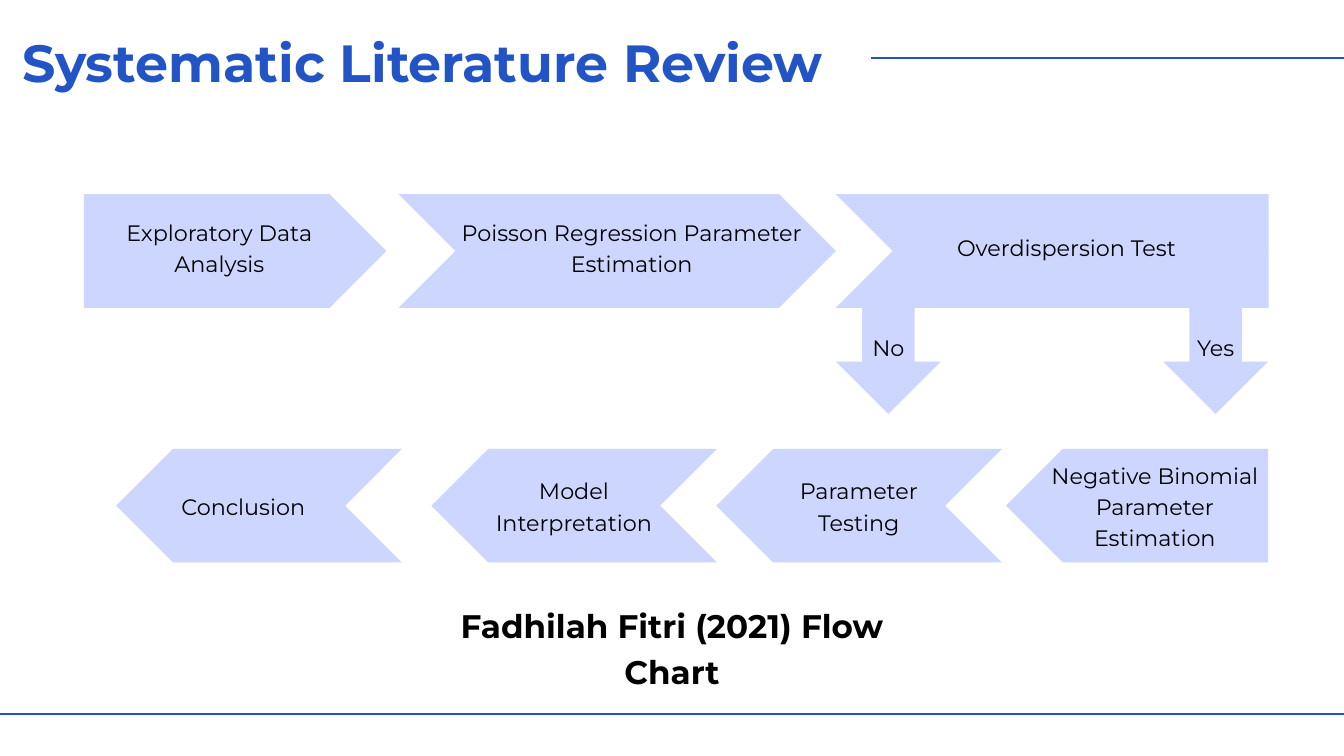
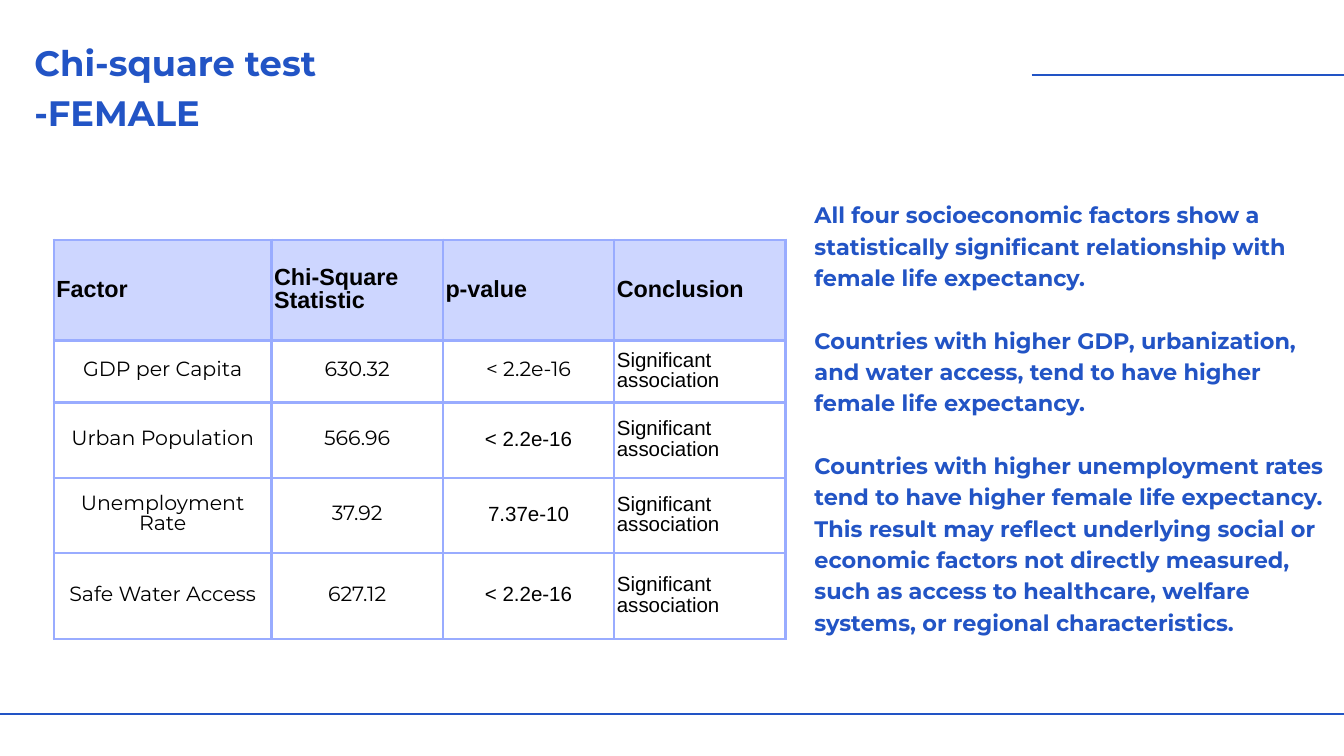
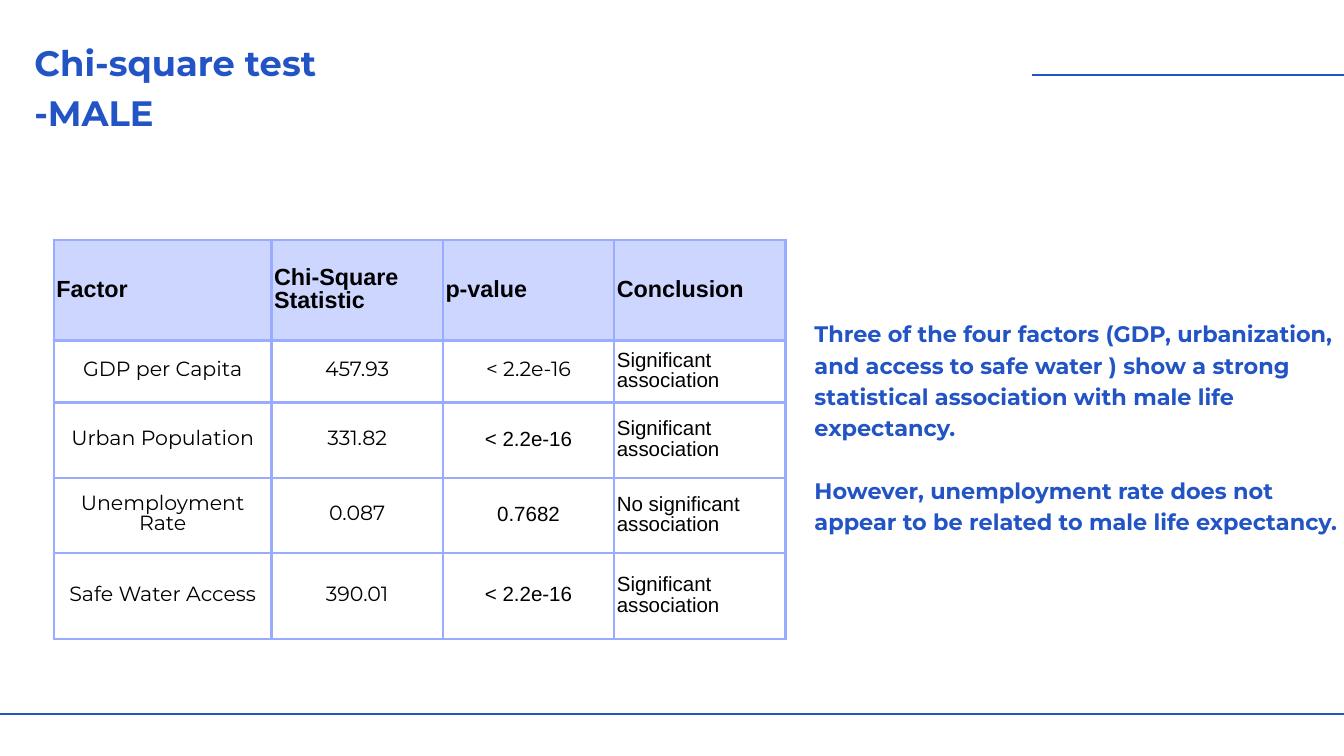
from lxml import etree
from pptx import Presentation
from pptx.dml.color import RGBColor
from pptx.enum.shapes import MSO_CONNECTOR, MSO_SHAPE as SHAPE
from pptx.enum.text import MSO_ANCHOR as ANCHOR, MSO_AUTO_SIZE, PP_ALIGN as ALIGN
from pptx.oxml import parse_xml
from pptx.oxml.ns import nsdecls, qn
from pptx.util import Inches, Pt

BLUE, PALE, BORDER, BLACK = "2254C5", "CDD6FF", "99ACFF", "000000"
HEADING_FONT, TABLE_FONT = "Montserrat", "Arial"
SLIDE_W, SLIDE_H, FOOTER_Y = 20, 11.25, 10.63

# Flow chart: shape, left, width, turned to the left
STEP_H, TOP_ROW, BOTTOM_ROW = 1.69, 2.89, 6.68
STEPS = {
    TOP_ROW: [
        (SHAPE.PENTAGON, 1.25, 4.5, False),
        (SHAPE.CHEVRON, 5.93, 6.51, False),
        (SHAPE.CHEVRON, 12.44, 6.44, False),
        (SHAPE.PENTAGON, 15.5, 3.38, True),
    ],
    BOTTOM_ROW: [
        (SHAPE.PENTAGON, 14.97, 3.9, True),
        (SHAPE.CHEVRON, 10.66, 4.25, True),
        (SHAPE.CHEVRON, 6.42, 4.25, True),
        (SHAPE.CHEVRON, 1.73, 4.25, True),
    ],
}
# Labels: text, left, width
LABELS = {
    TOP_ROW: [
        ("Exploratory Data Analysis", 1.31, 3.91),
        ("Poisson Regression Parameter Estimation", 6.73, 5.34),
        ("Overdispersion Test", 13.24, 5.26),
    ],
    BOTTOM_ROW: [
        ("Negative Binomial Parameter Estimation", 15.5, 3.37),
        ("Parameter Testing", 11.33, 2.9),
        ("Model Interpretation", 7.09, 2.9),
        ("Conclusion", 2.17, 2.9),
    ],
}
BRANCHES = [("No", 12.44), ("Yes", 17.31)]
BRANCH_TOP, BRANCH_W, BRANCH_H = 4.39, 1.56, 1.77

HEADER = ["Factor", "Chi-Square Statistic", "p-value", "Conclusion"]
COL_WIDTHS = [3.24, 2.55, 2.55, 2.55]
ROW_HEIGHTS = [1.5, 0.92, 1.12, 1.12, 1.28]
FACTORS = ["GDP per Capita", "Urban Population", "Unemployment Rate", "Safe Water Access"]
YES, NO = "Significant association", "No significant association"

# Findings are groups of paragraphs, with one line of space between groups
TESTS = [
    {
        "group": "FEMALE",
        "results": [("630.32", "< 2.2e-16", YES), ("566.96", "< 2.2e-16", YES),
                    ("37.92", "7.37e-10", YES), ("627.12", "< 2.2e-16", YES)],
        "findings": [
            ["All four socioeconomic factors show a statistically significant "
             "relationship with female life expectancy."],
            ["Countries with higher GDP, urbanization, and water access, tend to have "
             "higher female life expectancy."],
            ["Countries with higher unemployment rates tend to have higher female life "
             "expectancy.",
             "This result may reflect underlying social or economic factors not directly "
             "measured, such as access to healthcare, welfare systems, or regional "
             "characteristics."],
        ],
        "findings_top": 2.93, "findings_h": 6.85,
    },
    {
        "group": "MALE",
        "results": [("457.93", "< 2.2e-16", YES), ("331.82", "< 2.2e-16", YES),
                    ("0.087", "0.7682", NO), ("390.01", "< 2.2e-16", YES)],
        "findings": [
            ["Three of the four factors (GDP, urbanization, and access to safe water ) "
             "show a strong statistical association with male life expectancy."],
            ["However, unemployment rate does not appear to be related to male life "
             "expectancy."],
        ],
        "findings_top": 4.7, "findings_h": 3.18,
    },
]


def rgb(value):
    return RGBColor.from_string(value)


def write(tf, groups, size, leading, font=HEADING_FONT, color=BLACK, bold=False,
          align=ALIGN.LEFT, anchor=ANCHOR.TOP, inset=0):
    """Fill a frame with a text, or with groups of paragraphs set one line apart."""
    if isinstance(groups, str):
        groups = [[groups]]
    tf.word_wrap = True
    tf.auto_size = MSO_AUTO_SIZE.NONE
    tf.vertical_anchor = anchor
    tf.margin_left = tf.margin_right = tf.margin_top = tf.margin_bottom = Inches(inset)
    lines = [(text, g > 0 and i == 0)
             for g, group in enumerate(groups) for i, text in enumerate(group)]
    for n, (text, spaced) in enumerate(lines):
        p = tf.paragraphs[0] if n == 0 else tf.add_paragraph()
        pPr = p._p.get_or_add_pPr()
        pPr.set("marL", "0")
        pPr.set("indent", "0")
        etree.SubElement(pPr, qn("a:buNone"))
        p.alignment = align
        p.line_spacing = Pt(leading)
        p.space_before = Pt(leading if spaced else 0)
        p.space_after = Pt(0)
        r = p.add_run()
        r.text = text
        r.font.name, r.font.size, r.font.bold = font, Pt(size), bold
        r.font.color.rgb = rgb(color)


def place(sp, left, top, width, height):
    sp.left, sp.top = Inches(left), Inches(top)
    sp.width, sp.height = Inches(width), Inches(height)


def add_label(slide, text, left, top, width, height, size=23.9, leading=33.5, **fmt):
    box = slide.shapes.add_textbox(*map(Inches, (left, top, width, height)))
    write(box.text_frame, text, size, leading, align=ALIGN.CENTER, **fmt)


def add_block(slide, kind, left, top, width, height):
    sp = slide.shapes.add_shape(kind, *map(Inches, (left, top, width, height)))
    sp.shadow.inherit = False
    sp.fill.solid()
    sp.fill.fore_color.rgb = rgb(PALE)
    sp.line.fill.background()
    return sp


def add_rule(slide, left, y):
    """Draw a thin line from left to the right edge of the slide."""
    line = slide.shapes.add_connector(
        MSO_CONNECTOR.STRAIGHT, Inches(left), Inches(y), Inches(SLIDE_W), Inches(y))
    line.line.color.rgb = rgb(BLUE)
    line.line.width = Pt(2.25)
    etree.SubElement(line._element.spPr, qn("a:effectLst"))


def new_slide(prs, layout, title, box, size, leading, rule):
    slide = prs.slides.add_slide(prs.slide_layouts[layout])
    add_rule(slide, 0, FOOTER_Y)
    add_rule(slide, *rule)
    place(slide.shapes.title, *box)
    write(slide.shapes.title.text_frame, [title], size, leading, color=BLUE, bold=True)
    return slide


def format_cell(cell, fill):
    tcPr = cell._tc.get_or_add_tcPr()
    for side in ("lnL", "lnR", "lnT", "lnB"):
        tcPr.append(parse_xml(
            f'<a:{side} {nsdecls("a")} w="{Pt(3)}"><a:solidFill>'
            f'<a:srgbClr val="{BORDER}"/></a:solidFill></a:{side}>'))
    if fill:
        cell.fill.solid()
        cell.fill.fore_color.rgb = rgb(fill)
    else:
        cell.fill.background()
    cell.vertical_anchor = ANCHOR.MIDDLE
    cell.margin_left = cell.margin_right = Inches(0.04)
    cell.margin_top = cell.margin_bottom = Inches(0.04)


def write_cell(cell, text, size, font, bold, align):
    p = cell.text_frame.paragraphs[0]
    p.alignment, p.line_spacing = align, Pt(size)
    r = p.add_run()
    r.text = text
    r.font.name, r.font.size, r.font.bold = font, Pt(size), bold
    r.font.color.rgb = rgb(BLACK)


def add_results_table(slide, results):
    rows = [HEADER] + [(factor, *result) for factor, result in zip(FACTORS, results)]
    table = slide.shapes.add_table(
        len(rows), len(HEADER), Inches(0.8), Inches(3.57),
        Inches(sum(COL_WIDTHS)), Inches(sum(ROW_HEIGHTS))).table
    table.first_row = table.horz_banding = False
    for col, width in zip(table.columns, COL_WIDTHS):
        col.width = Inches(width)
    for i, values in enumerate(rows):
        table.rows[i].height = Inches(ROW_HEIGHTS[i])
        for j, text in enumerate(values):
            header = i == 0
            cell = table.cell(i, j)
            format_cell(cell, PALE if header else None)
            montserrat = not header and (j < 2 or (i, j) == (1, 2))
            write_cell(cell, text, 25 if header else 22,
                       HEADING_FONT if montserrat else TABLE_FONT, header,
                       ALIGN.LEFT if header or j == 3 else ALIGN.CENTER)


def build_flow_chart(prs):
    slide = new_slide(prs, 5, ["Systematic Literature Review"],
                      (0.33, 0.29, 12.04, 1.04), 56, 78.4, (12.96, 0.87))
    for top, steps in STEPS.items():
        for kind, left, width, turned in steps:
            sp = add_block(slide, kind, left, top, width, STEP_H)
            sp.rotation = 180 if turned else 0
    for text, left in BRANCHES:
        add_block(slide, SHAPE.DOWN_ARROW, left, BRANCH_TOP, BRANCH_W, BRANCH_H)
        add_label(slide, text, left + BRANCH_W / 4, 4.31, BRANCH_W / 2, 1.65,
                  anchor=ANCHOR.MIDDLE, inset=0.06)
    for top, labels in LABELS.items():
        rise = 0.08 if top == TOP_ROW else 0.02
        for text, left, width in labels:
            add_label(slide, text, left, top - rise, width, STEP_H, anchor=ANCHOR.MIDDLE)
    add_label(slide, "Fadhilah Fitri (2021) Flow Chart", 6.08, 8.92, 7.84, 1.36,
              size=34.9, leading=48.9, bold=True)


def build_test(prs, test):
    slide = new_slide(prs, 1, ["Chi-square test", "-" + test["group"]],
                      (0.51, 0.51, 14.7, 1.43), 37.8, 53, (15.35, 1.11))
    add_results_table(slide, test["results"])
    body = slide.placeholders[1]
    place(body, 12.12, test["findings_top"], 7.88, test["findings_h"])
    write(body.text_frame, test["findings"], 24, 33.6, color=BLUE, bold=True)


def main():
    prs = Presentation()
    prs.slide_width, prs.slide_height = Inches(SLIDE_W), Inches(SLIDE_H)
    build_flow_chart(prs)
    for test in TESTS:
        build_test(prs, test)
    prs.save("out.pptx")


if __name__ == "__main__":
    main()
